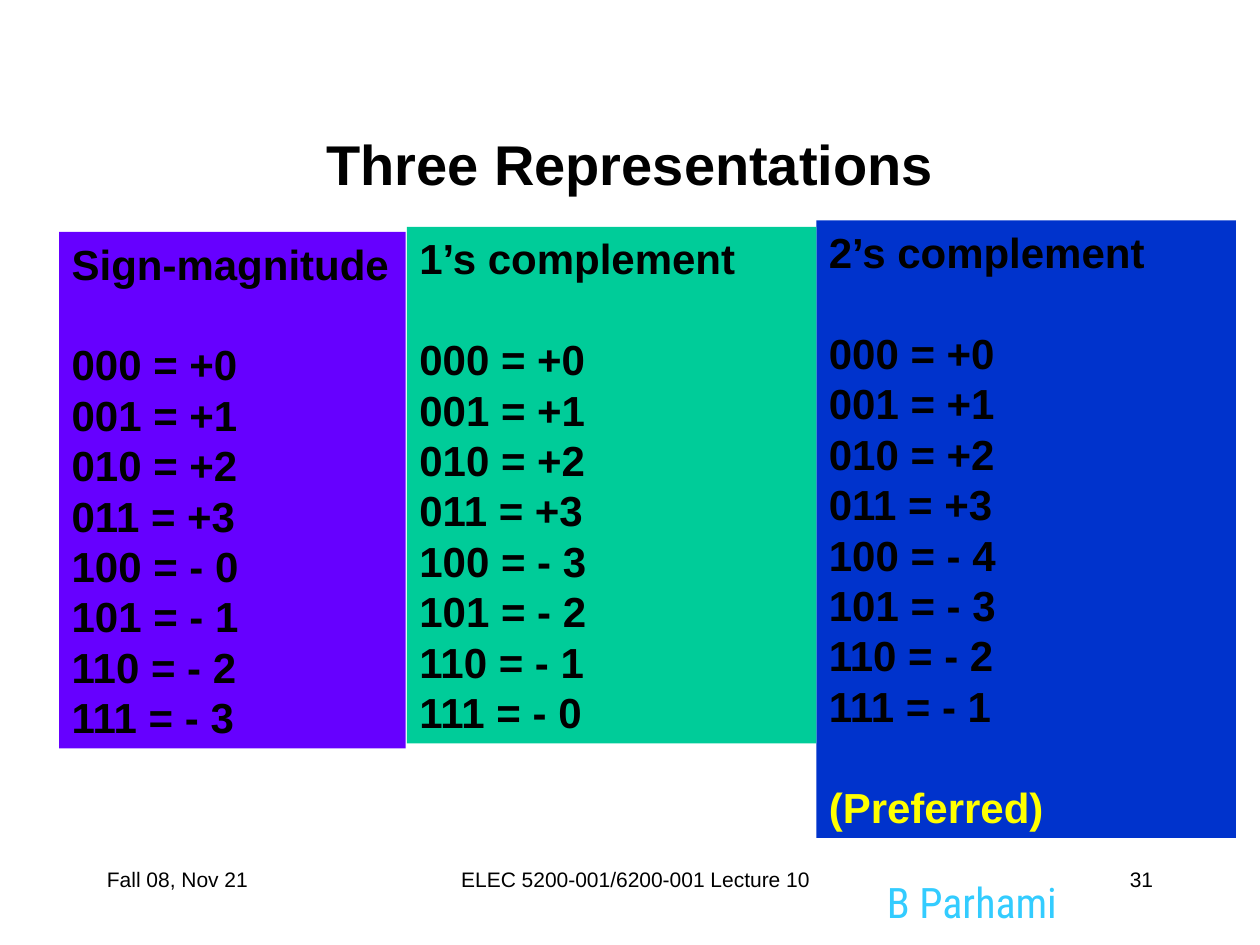
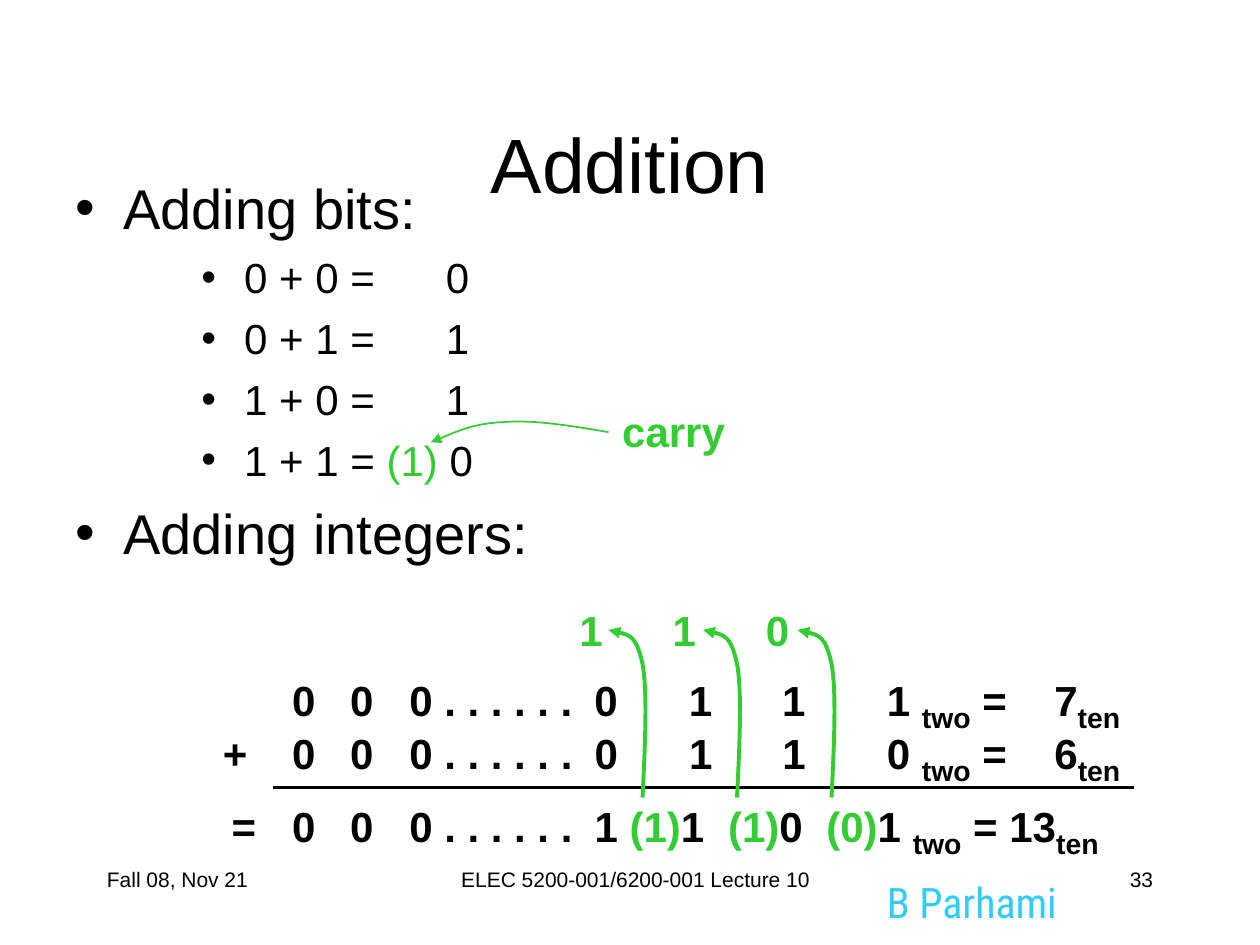
from dataclasses import dataclass, replace
from typing import Optional

from lxml import etree
from pptx import Presentation
from pptx.dml.color import RGBColor
from pptx.enum.shapes import MSO_CONNECTOR, MSO_SHAPE
from pptx.enum.text import MSO_ANCHOR, PP_ALIGN
from pptx.oxml.ns import qn
from pptx.util import Pt

PX = 9144  # EMU per px, 100 px to the inch
INSET = 10
BLACK = RGBColor(0x00, 0x00, 0x00)
WHITE = RGBColor(0xFF, 0xFF, 0xFF)
PURPLE = RGBColor(0x66, 0x00, 0xFF)
TEAL = RGBColor(0x00, 0xCC, 0x99)
BLUE = RGBColor(0x00, 0x33, 0xCC)
YELLOW = RGBColor(0xFF, 0xFF, 0x00)
GREEN = RGBColor(0x33, 0xCC, 0x33)
CYAN = RGBColor(0x33, 0xCC, 0xFF)
FONT = "Arial"
AUTHOR_FONT = "Roboto Condensed"
LINE_24 = 28.8  # height of one 24 pt line, in points


@dataclass(frozen=True)
class Box:
    left: int
    top: int
    width: int
    height: int

    def emu(self) -> tuple:
        return tuple(v * PX for v in (self.left, self.top, self.width, self.height))


@dataclass(frozen=True)
class Run:
    text: str
    color: Optional[RGBColor] = None
    size: Optional[int] = None
    subscript: bool = False


@dataclass(frozen=True)
class Para:
    runs: tuple
    size: int = 24
    before: float = 0
    margin: int = 0
    hanging: int = 0
    tabs: tuple = ()


@dataclass(frozen=True)
class Column:
    heading: str
    values: tuple
    box: Box
    fill: RGBColor
    remark: str = ""


@dataclass(frozen=True)
class SumRow:
    box: Box
    runs: tuple
    stops: tuple


def para(*runs, **fmt) -> Para:
    """Make a paragraph from plain strings and runs."""
    return Para(tuple(Run(r) if isinstance(r, str) else r for r in runs), **fmt)


def set_indent_and_tabs(p, item: Para) -> None:
    pPr = p._p.get_or_add_pPr()
    if item.hanging:
        pPr.set("marL", str(item.margin * PX))
        pPr.set("indent", str(-item.hanging * PX))
        etree.SubElement(pPr, qn("a:buFont")).set("typeface", FONT)
        etree.SubElement(pPr, qn("a:buChar")).set("char", "•")
    if item.tabs:
        tab_list = etree.SubElement(pPr, qn("a:tabLst"))
        for stop in item.tabs:
            tab = etree.SubElement(tab_list, qn("a:tab"))
            tab.set("pos", str(stop * PX))
            tab.set("algn", "l")


def write(tf, paras: list, *, color=BLACK, font=FONT, bold=False,
          align=PP_ALIGN.LEFT, anchor=MSO_ANCHOR.TOP) -> None:
    tf.word_wrap = True
    tf.vertical_anchor = anchor
    for i, item in enumerate(paras):
        p = tf.add_paragraph() if i else tf.paragraphs[0]
        set_indent_and_tabs(p, item)
        p.alignment = align
        if item.before:
            p.space_before = Pt(item.before)
        for part in item.runs:
            r = p.add_run()
            r.text = part.text
            r.font.name = font
            r.font.size = Pt(part.size or item.size)
            r.font.bold = bold
            r.font.color.rgb = part.color or color
            if part.subscript:
                r.font._element.set("baseline", "-25000")


def add_text(s, box: Box, paras: list, **fmt) -> None:
    write(s.shapes.add_textbox(*box.emu()).text_frame, paras, **fmt)


def add_curve(s, points: list, width: float) -> None:
    """Draw an arrow from a start point and three points per Bézier segment."""
    start, *rest = points
    builder = s.shapes.build_freeform(*start, scale=PX)
    builder.add_line_segments(rest, close=False)
    sp = builder.convert_to_shape()
    sp.shadow.inherit = False
    sp.fill.background()
    sp.line.color.rgb = GREEN
    sp.line.width = Pt(width)
    etree.SubElement(sp.line._get_or_add_ln(), qn("a:tailEnd")).set("type", "triangle")
    path = next(sp._element.iter(qn("a:path")))
    segments = path.findall(qn("a:lnTo"))
    for i in range(0, len(segments), 3):
        curve = etree.SubElement(path, qn("a:cubicBezTo"))
        for segment in segments[i:i + 3]:
            curve.append(segment[0])
            path.remove(segment)


def add_slide(prs, title: str, number: int, size: int, bold: bool):
    s = prs.slides.add_slide(prs.slide_layouts[5])
    s.background.fill.solid()
    s.background.fill.fore_color.rgb = WHITE
    add_text(s, Box(694, 691, 160, 42), [para("B Parhami")],
             color=CYAN, font=AUTHOR_FONT)
    footers = (
        ("Fall 08, Nov 21", 75, 208, PP_ALIGN.LEFT),
        ("ELEC 5200-001/6200-001 Lecture 10", 242, 525, PP_ALIGN.CENTER),
        (str(number), 717, 208, PP_ALIGN.RIGHT),
    )
    for text, left, width, align in footers:
        add_text(s, Box(left, 683, width, 50), [para(text, size=12)], align=align)
    sp = s.shapes.title
    sp.left, sp.top, sp.width, sp.height = Box(75, 67, 850, 125).emu()
    write(sp.text_frame, [para(title, size=size)], bold=bold,
          align=PP_ALIGN.CENTER, anchor=MSO_ANCHOR.MIDDLE)
    return s


COLUMNS = (
    Column("Sign-magnitude", ("+0", "+1", "+2", "+3", "- 0", "- 1", "- 2", "- 3"),
           Box(47, 184, 275, 410), PURPLE),
    Column("2’s complement", ("+0", "+1", "+2", "+3", "- 4", "- 3", "- 2", "- 1"),
           Box(648, 175, 333, 490), BLUE, "(Preferred)"),
    Column("1’s complement", ("+0", "+1", "+2", "+3", "- 3", "- 2", "- 1", "- 0"),
           Box(323, 180, 325, 410), TEAL),
)


def add_column(s, column: Column) -> None:
    sp = s.shapes.add_shape(MSO_SHAPE.RECTANGLE, *column.box.emu())
    sp.shadow.inherit = False
    sp.fill.solid()
    sp.fill.fore_color.rgb = column.fill
    sp.line.fill.background()
    codes = [para(f"{code:03b} = {value}") for code, value in enumerate(column.values)]
    codes[0] = replace(codes[0], before=LINE_24)
    paras = [para(column.heading), *codes]
    if column.remark:
        paras.append(para(Run(column.remark, YELLOW), before=LINE_24))
    write(sp.text_frame, paras, bold=True)


def build_representations(prs) -> None:
    s = add_slide(prs, "Three Representations", 31, 32, True)
    for column in COLUMNS:
        add_column(s, column)


TWO = Run("two", size=28, subscript=True)
TEN = Run("ten", size=28, subscript=True)
DIGIT_STOPS = (232, 278, 325, 472, 547, 621, 704, 837)
SUM_ROWS = (
    SumRow(Box(222, 525, 720, 63),
           ("0\t0\t0 . . . . . .\t0\t1\t1\t1 ", TWO, " =\t7", TEN),
           DIGIT_STOPS[1:]),
    SumRow(Box(167, 567, 775, 63),
           ("+\t0\t0\t0 . . . . . .\t0\t1\t1\t0 ", TWO, " =\t6", TEN),
           DIGIT_STOPS),
    SumRow(Box(174, 625, 768, 63),
           ("=\t0\t0\t0 . . . . . .\t1 ", Run("(1)", GREEN), "1\t",
            Run("(1)", GREEN), "0\t", Run("(0)", GREEN), "1 ", TWO, " = 13", TEN),
           DIGIT_STOPS[:4] + (578, 656)),
    SumRow(Box(450, 475, 230, 50),
           (Run("1\t1\t0", GREEN),),
           (534, 608)),
)


def add_sum_row(s, row: SumRow) -> None:
    text_left = row.box.left + INSET
    tabs = tuple(stop - text_left for stop in row.stops)
    add_text(s, row.box, [para(*row.runs, tabs=tabs)], bold=True)


def build_addition(prs) -> None:
    s = add_slide(prs, "Addition", 33, 44, False)
    heading = dict(size=32, margin=38, hanging=38)
    # The result column is at 294; 160 is the same place counted from the indent.
    bit_sum = dict(before=6, margin=134, hanging=34, tabs=(160, 294))
    add_text(s, Box(50, 133, 900, 542), [
        para("Adding bits:", **heading),
        para("0 + 0 =\t0", **bit_sum),
        para("0 + 1 =\t1", **bit_sum),
        para("1 + 0 =\t1", **bit_sum),
        para("1 + 1 = ", Run("(1) ", GREEN), "0", **bit_sum),
        para("Adding integers:", before=8, **heading),
    ])

    add_curve(s, [(483, 343), (453, 338), (424, 333), (400, 335),
                  (376, 336), (359, 344), (342, 351)], 1)
    add_text(s, Box(484, 317, 130, 50), [para("carry")], color=GREEN, bold=True)

    for row in SUM_ROWS:
        add_sum_row(s, row)
    sum_line = s.shapes.add_connector(MSO_CONNECTOR.STRAIGHT,
                                      217 * PX, 625 * PX, 900 * PX, 625 * PX)
    sum_line.line.color.rgb = BLACK
    sum_line.line.width = Pt(2.25)
    etree.SubElement(sum_line._element.spPr, qn("a:effectLst"))

    carry_arrow = ((27, 633), (29, 591), (31, 549), (27, 527),
                   (22, 504), (11, 502), (0, 500))
    for left in (483, 558, 633):
        add_curve(s, [(left + x, y) for x, y in carry_arrow], 2.25)


def main() -> None:
    prs = Presentation()
    prs.slide_width, prs.slide_height = 1000 * PX, 750 * PX
    build_representations(prs)
    build_addition(prs)
    prs.save("out.pptx")


if __name__ == "__main__":
    main()
